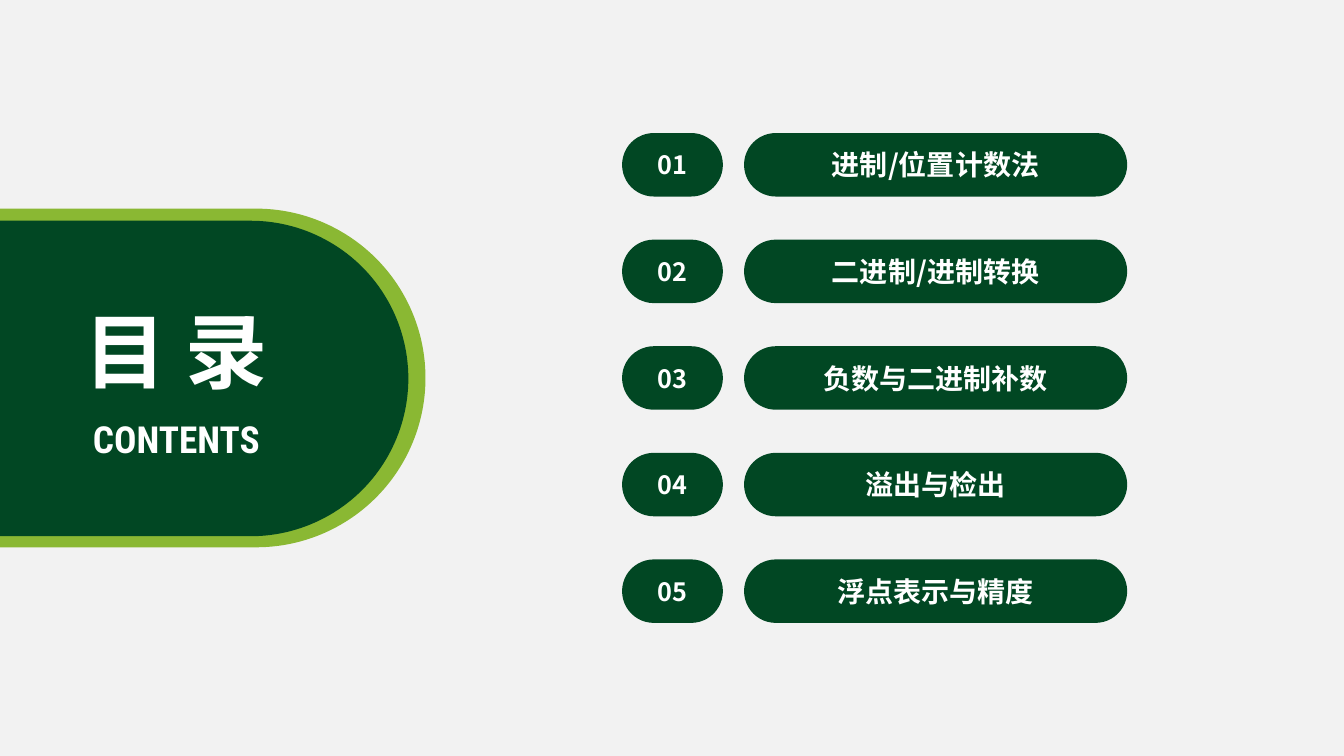
"""Build the contents slide with a title panel and five numbered topics."""
from dataclasses import dataclass

from lxml.etree import SubElement
from pptx import Presentation
from pptx.dml.color import RGBColor
from pptx.enum.shapes import MSO_SHAPE as Shape
from pptx.enum.text import MSO_ANCHOR as Anchor, PP_ALIGN as Align
from pptx.oxml.ns import qn
from pptx.util import Inches, Pt


@dataclass(frozen=True)
class Theme:
    background: str = "F2F2F2"
    dark: str = "014723"
    accent: str = "8AB833"
    text: str = "FFFFFF"
    cjk_font: str = "Noto Sans CJK SC"
    latin_font: str = "Roboto Condensed"
    title_size: float = 58.6
    subtitle_size: float = 26.6
    topic_size: float = 20
    number_size: float = 18


THEME = Theme()
TOPICS = (
    "进制/位置计数法",
    "二进制/进制转换",
    "负数与二进制补数",
    "溢出与检出",
    "浮点表示与精度",
)
FIRST_ROW_TOP = 1.32
ROW_PITCH = 1.0575
ROW_HEIGHT = 0.63


def write_text(frame, text, *, size, font=THEME.cjk_font, color=THEME.text,
               anchor=Anchor.TOP, wrap=True):
    frame.word_wrap = wrap
    frame.vertical_anchor = anchor
    paragraph = frame.paragraphs[0]
    paragraph.alignment = Align.CENTER
    run = paragraph.add_run()
    run.text = text
    run.font.size = Pt(size)
    run.font.bold = True
    run.font.color.rgb = RGBColor.from_string(color)
    run.font.name = font
    SubElement(run.font._element, qn("a:ea"), typeface=font)


def add_pill(slide, left, top, width, height, color=THEME.dark):
    pill = slide.shapes.add_shape(
        Shape.ROUNDED_RECTANGLE,
        Inches(left), Inches(top), Inches(width), Inches(height))
    pill.adjustments[0] = 0.5
    pill.shadow.inherit = False
    pill.fill.solid()
    pill.fill.fore_color.rgb = RGBColor.from_string(color)
    pill.line.fill.background()
    return pill


def add_label(slide, text, left, top, width, height, **text_format):
    label = slide.shapes.add_textbox(
        Inches(left), Inches(top), Inches(width), Inches(height))
    write_text(label.text_frame, text, wrap=False, **text_format)


def add_topic(slide, index, topic):
    top = FIRST_ROW_TOP + index * ROW_PITCH
    number = add_pill(slide, 6.17, top, 1, ROW_HEIGHT)
    write_text(number.text_frame, f"{index + 1:02d}",
               size=THEME.number_size, anchor=Anchor.MIDDLE)
    name = add_pill(slide, 7.38, top, 3.8, ROW_HEIGHT)
    write_text(name.text_frame, topic,
               size=THEME.topic_size, anchor=Anchor.MIDDLE)


def add_title_panel(slide):
    add_pill(slide, -1.96, 2.07, 6.18, 3.36, THEME.accent)
    add_pill(slide, -1.7, 2.19, 5.75, 3.13)
    add_label(slide, "CONTENTS", 0.62, 4.08, 2.26, 0.55,
              size=THEME.subtitle_size, font=THEME.latin_font)
    add_label(slide, "目 录", 0.7, 2.93, 2.09, 1.09, size=THEME.title_size)


def main():
    deck = Presentation()
    deck.slide_width = Inches(13.33)
    deck.slide_height = Inches(7.5)
    slide = deck.slides.add_slide(deck.slide_layouts[6])
    slide.background.fill.solid()
    slide.background.fill.fore_color.rgb = RGBColor.from_string(THEME.background)
    add_title_panel(slide)
    for index, topic in enumerate(TOPICS):
        add_topic(slide, index, topic)
    deck.save("out.pptx")


if __name__ == "__main__":
    main()
